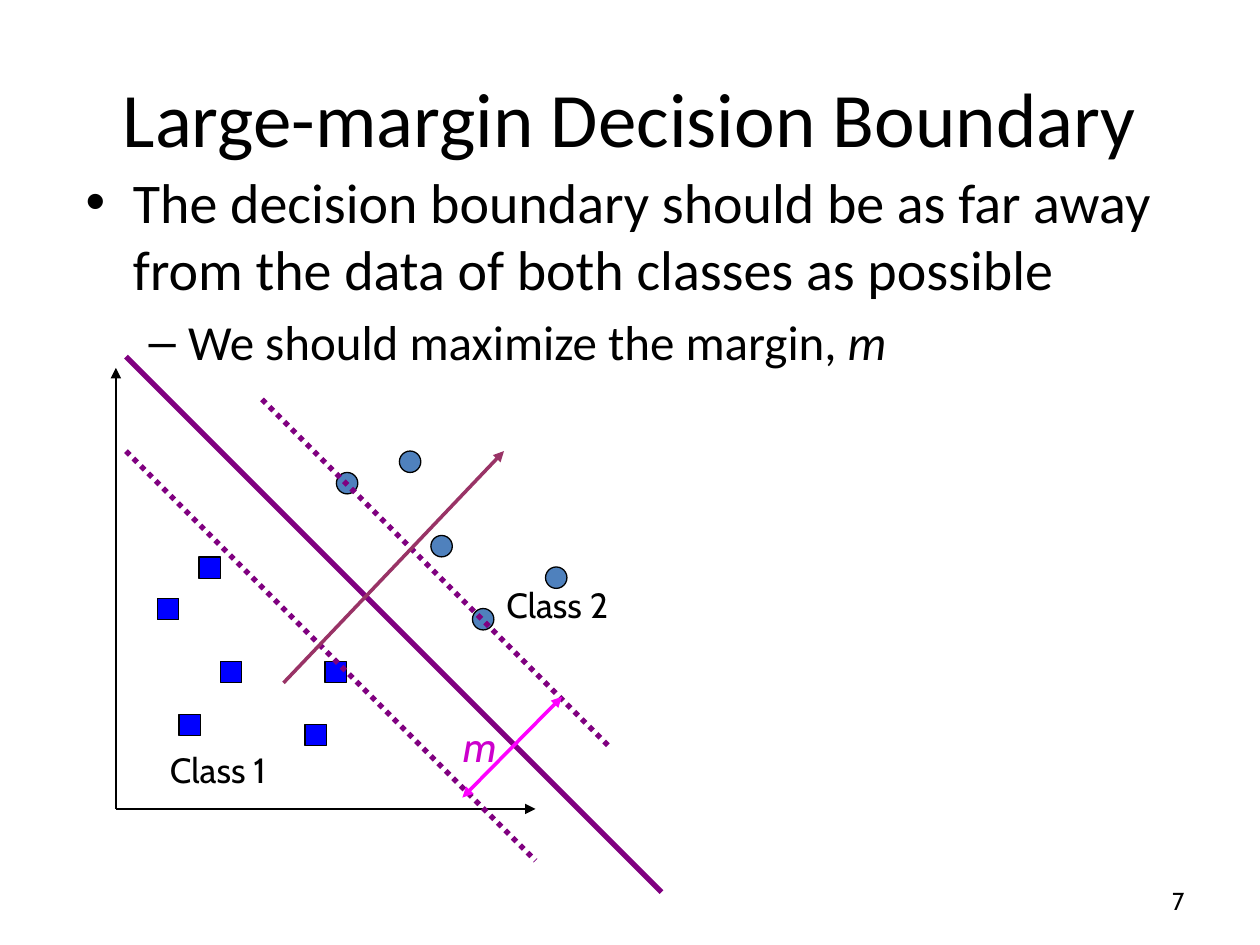
import pptx
import pptx.dml.color
import pptx.enum.dml
import pptx.enum.shapes
import pptx.enum.text
import pptx.oxml.ns
import pptx.util
from lxml import etree

Inches = pptx.util.Inches
SHAPES = pptx.enum.shapes.MSO_SHAPE
ALIGN = pptx.enum.text.PP_ALIGN
ANCHOR = pptx.enum.text.MSO_ANCHOR
MARKER_SIZE = 0.17
BLACK, PURPLE, MAGENTA = "000000", "800080", "FF00FF"

CLASS_1 = [(1.25, 4.75), (2.58, 5.25), (2.42, 5.75),
           (1.75, 5.25), (1.42, 5.67), (1.58, 4.42)]
CLASS_2 = [(3.17, 3.58), (3.42, 4.25), (4.33, 4.5), (2.67, 3.75), (3.75, 4.83)]


def rgb(color):
    return pptx.dml.color.RGBColor.from_string(color)


def set_font(paragraph, size, name="Calibri", color=BLACK):
    paragraph.font.size = pptx.util.Pt(size)
    paragraph.font.name = name
    paragraph.font.color.rgb = rgb(color)


def place(placeholder, left, top, width, height):
    placeholder.left, placeholder.top = Inches(left), Inches(top)
    placeholder.width, placeholder.height = Inches(width), Inches(height)
    placeholder.text_frame.auto_size = pptx.enum.text.MSO_AUTO_SIZE.NONE


def add_label(slide, text, box, size, color=BLACK, italic=False):
    label = slide.shapes.add_textbox(*map(Inches, box))
    label.text_frame.word_wrap = False
    paragraph = label.text_frame.paragraphs[0]
    paragraph.text = text
    set_font(paragraph, size, "Cabin", color)
    paragraph.font.italic = italic
    return label


def add_markers(slide, points, kind, color):
    size = Inches(MARKER_SIZE)
    for left, top in points:
        marker = slide.shapes.add_shape(kind, Inches(left), Inches(top), size, size)
        marker.shadow.inherit = False
        marker.fill.solid()
        marker.fill.fore_color.rgb = rgb(color)
        marker.line.color.rgb = rgb(BLACK)
        marker.line.width = pptx.util.Pt(0.75)


def add_line(slide, start, end, color, width, dotted=False, arrows=()):
    line = slide.shapes.add_connector(
        pptx.enum.shapes.MSO_CONNECTOR.STRAIGHT, *map(Inches, start + end))
    line.line.color.rgb = rgb(color)
    line.line.width = pptx.util.Pt(width)
    if dotted:
        line.line.dash_style = pptx.enum.dml.MSO_LINE.ROUND_DOT
    properties = line._element.spPr
    outline = properties.find(pptx.oxml.ns.qn("a:ln"))
    for arrow in arrows:
        etree.SubElement(outline, pptx.oxml.ns.qn(f"a:{arrow}"), type="triangle")
    etree.SubElement(properties, pptx.oxml.ns.qn("a:effectLst"))


def add_heading(slide):
    title = slide.shapes.title
    place(title, 0.5, 0.3, 9, 1.25)
    title.text_frame.vertical_anchor = ANCHOR.MIDDLE
    heading = title.text_frame.paragraphs[0]
    heading.text = "Large-margin Decision Boundary"
    heading.alignment = ALIGN.CENTER
    set_font(heading, 44)


def add_statements(slide):
    body = slide.placeholders[1]
    place(body, 0.58, 1.28, 9, 4.95)
    claim = body.text_frame.paragraphs[0]
    claim.text = ("The decision boundary should be as far away "
                  "from the data of both classes as possible")
    claim.space_before = pptx.util.Pt(0)
    set_font(claim, 32)
    goal = body.text_frame.add_paragraph()
    goal.level = 1
    goal.add_run().text = "We should maximize the margin, "
    margin = goal.add_run()
    margin.text = "m"
    margin.font.italic = True
    set_font(goal, 28)


def add_diagram(slide):
    # Axes
    origin = (0.92, 6.42)
    for axis_end in [(0.92, 2.92), (4.25, 6.42)]:
        add_line(slide, origin, axis_end, BLACK, 1, arrows=["tailEnd"])

    # Data points and class names
    add_markers(slide, CLASS_2, SHAPES.OVAL, "4F81BD")
    add_markers(slide, CLASS_1, SHAPES.RECTANGLE, "0000FF")
    add_label(slide, "Class 1", (1.25, 5.89, 1.06, 0.43), 20)
    add_label(slide, "Class 2", (3.92, 4.58, 1.06, 0.43), 20)

    # Margin edges and decision boundary
    add_line(slide, (2.08, 3.17), (4.83, 5.92), PURPLE, 3, dotted=True)
    add_line(slide, (1, 3.58), (4.25, 6.83), PURPLE, 3, dotted=True)
    add_line(slide, (1, 2.83), (5.25, 7.08), PURPLE, 3)

    # Margin width and boundary normal
    add_line(slide, (4.46, 5.53), (3.67, 6.33), MAGENTA, 2,
             arrows=["headEnd", "tailEnd"])
    add_label(slide, "m", (3.58, 5.67, 0.48, 0.5), 24, "CC00CC", italic=True)
    add_line(slide, (2.25, 5.42), (4, 3.58), "993366", 2, arrows=["tailEnd"])


def main():
    deck = pptx.Presentation()
    deck.slide_width, deck.slide_height = Inches(10), Inches(7.5)
    slide = deck.slides.add_slide(deck.slide_layouts[1])
    add_heading(slide)
    add_statements(slide)

    # Page number
    page_number = add_label(slide, "7", (7.17, 6.95, 2.33, 0.4), 14)
    page_number.text_frame.word_wrap = True
    page_number.text_frame.vertical_anchor = ANCHOR.MIDDLE
    page_number.text_frame.paragraphs[0].alignment = ALIGN.RIGHT

    add_diagram(slide)
    deck.save("out.pptx")


if __name__ == "__main__":
    main()
